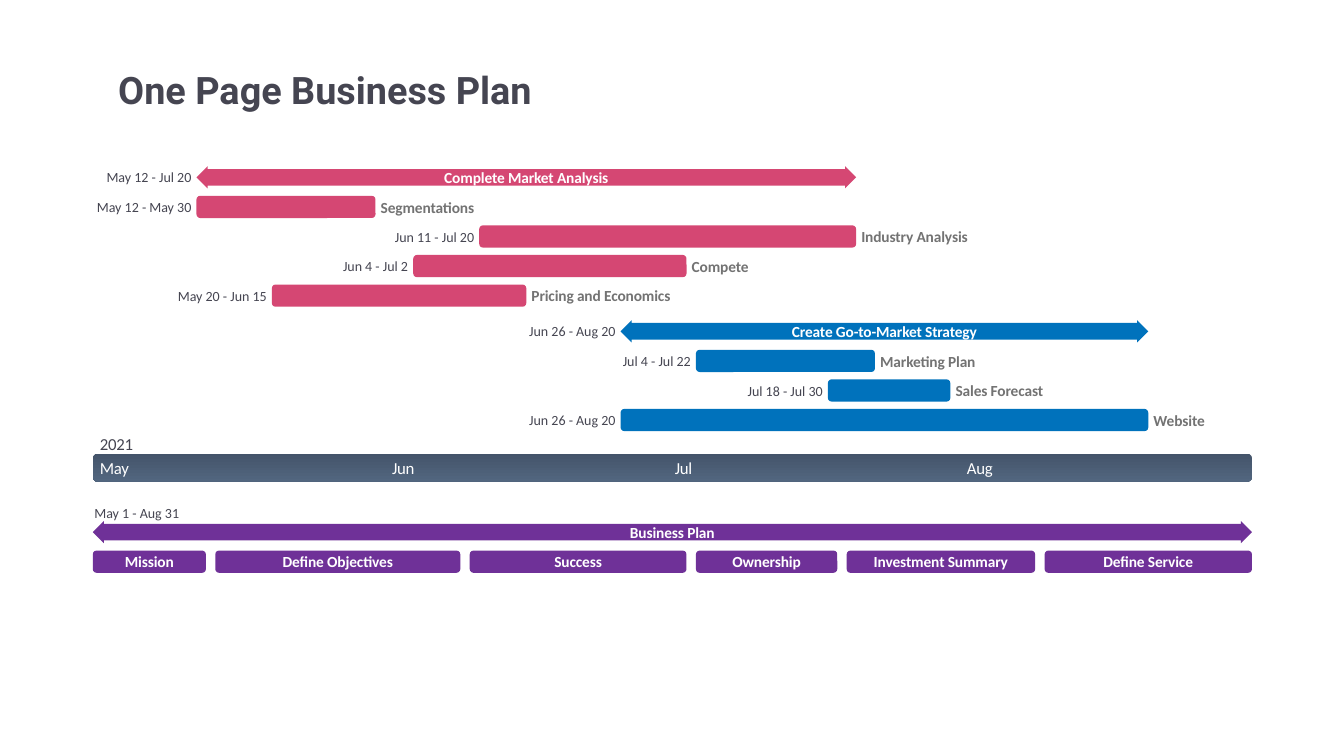
from pptx import Presentation
from pptx.dml.color import RGBColor
from pptx.enum.shapes import MSO_SHAPE
from pptx.enum.text import MSO_ANCHOR, PP_ALIGN
from pptx.util import Cm, Pt

BAR, ARROW = MSO_SHAPE.ROUNDED_RECTANGLE, MSO_SHAPE.LEFT_RIGHT_ARROW
LEFT, CENTER, RIGHT = PP_ALIGN.LEFT, PP_ALIGN.CENTER, PP_ALIGN.RIGHT
MIDDLE, BOTTOM = MSO_ANCHOR.MIDDLE, MSO_ANCHOR.BOTTOM

PINK = RGBColor(0xD5, 0x47, 0x73)
BLUE = RGBColor(0x00, 0x72, 0xBC)
PURPLE = RGBColor(0x6F, 0x31, 0x98)
SLATE_TOP = RGBColor(0x44, 0x54, 0x6A)
SLATE_BOTTOM = RGBColor(0x52, 0x66, 0x7F)
DARK = RGBColor(0x45, 0x45, 0x51)
GRAY = RGBColor(0x73, 0x73, 0x73)
WHITE = RGBColor(0xFF, 0xFF, 0xFF)

# Content
TITLE = "One Page Business Plan"
YEAR = "2021"
MONTH_DAYS = {"May": 31, "Jun": 30, "Jul": 31, "Aug": 31}

# Each swimlane: top in cm, colour, then its rows; the first row is the summary arrow
SWIMLANES = [
    (4.19, PINK, [
        ("Complete Market Analysis", "May 12 - Jul 20"),
        ("Segmentations", "May 12 - May 30"),
        ("Industry Analysis", "Jun 11 - Jul 20"),
        ("Compete", "Jun 4 - Jul 2"),
        ("Pricing and Economics", "May 20 - Jun 15"),
    ]),
    (8.07, BLUE, [
        ("Create Go-to-Market Strategy", "Jun 26 - Aug 20"),
        ("Marketing Plan", "Jul 4 - Jul 22"),
        ("Sales Forecast", "Jul 18 - Jul 30"),
        ("Website", "Jun 26 - Aug 20"),
    ]),
]
PLAN = ("Business Plan", "May 1 - Aug 31")
PHASES = [
    ("Mission", "May 1 - May 12"),
    ("Define Objectives", "May 14 - Jun 8"),
    ("Success", "Jun 10 - Jul 2"),
    ("Ownership", "Jul 4 - Jul 18"),
    ("Investment Summary", "Jul 20 - Aug 8"),
    ("Define Service", "Aug 10 - Aug 31"),
]

# Layout in cm
AXIS_LEFT, AXIS_WIDTH, AXIS_TOP, AXIS_HEIGHT = 2.34, 29.21, 11.43, 0.71
MONTH_INSET = 0.18
ROW_HEIGHT, ROW_PITCH = 0.56, 0.745
TEXT_GAP = 0.13
DATES_WIDTH, LABEL_WIDTH = 2.6, 4.2
PLAN_TOP, PLAN_DATES_TOP, PLAN_DATES_HEIGHT = 13.13, 12.7, 0.43
DAY = AXIS_WIDTH / sum(MONTH_DAYS.values())

month_offsets, days_so_far = {}, 0
for month, days in MONTH_DAYS.items():
    month_offsets[month] = days_so_far
    days_so_far += days


def day_number(date):
    month, day = date.split()
    return month_offsets[month] + int(day)


def span(dates):
    """Left edge and width of a date range, with its last day included."""
    first, last = map(day_number, dates.split(" - "))
    return AXIS_LEFT + (first - 1) * DAY, (last - first + 1) * DAY


prs = Presentation()
prs.slide_width, prs.slide_height = Cm(33.87), Cm(19.05)
slide = prs.slides.add_slide(prs.slide_layouts[6])


def write(shape, text, size, color, bold=False, align=LEFT, spacing=0,
          font="Calibri", anchor=MIDDLE):
    frame = shape.text_frame
    frame.word_wrap = True
    frame.vertical_anchor = anchor
    frame.margin_left = frame.margin_right = 0
    frame.margin_top = frame.margin_bottom = 0
    paragraph = frame.paragraphs[0]
    paragraph.alignment = align
    run = paragraph.add_run()
    run.text = text
    run._r.get_or_add_rPr().set("spc", str(spacing))
    paragraph.font.name, paragraph.font.size = font, Pt(size)
    paragraph.font.bold, paragraph.font.color.rgb = bold, color


def text_box(text, left, top, width, height, size, color, **style):
    box = slide.shapes.add_textbox(Cm(left), Cm(top), Cm(width), Cm(height))
    write(box, text, size, color, **style)


def dated_shape(kind, dates, top, color, label=None):
    left, width = span(dates)
    shape = slide.shapes.add_shape(kind, Cm(left), Cm(top), Cm(width), Cm(ROW_HEIGHT))
    shape.shadow.inherit = False
    shape.fill.solid()
    shape.fill.fore_color.rgb = color
    shape.line.fill.background()
    if kind == ARROW:
        shape.adjustments[0], shape.adjustments[1] = 0.75, 0.5
    if label:
        write(shape, label, 11, WHITE, bold=True, align=CENTER, spacing=-10)


# Title
text_box(TITLE, 2.98, 1.12, 13, 1.7, 27, DARK, bold=True, font="Roboto", anchor=BOTTOM)

# Month axis
axis = slide.shapes.add_shape(BAR, Cm(AXIS_LEFT), Cm(AXIS_TOP), Cm(AXIS_WIDTH), Cm(AXIS_HEIGHT))
axis.shadow.inherit = False
axis.line.fill.background()
axis.fill.gradient()
axis.fill.gradient_angle = 270
for stop, position, color in zip(axis.fill.gradient_stops, (0, 1), (SLATE_TOP, SLATE_BOTTOM)):
    stop.position, stop.color.rgb = position, color
for month, offset in month_offsets.items():
    text_box(month, AXIS_LEFT + MONTH_INSET + offset * DAY, AXIS_TOP, 1.2, AXIS_HEIGHT,
             12, WHITE, spacing=-20)
text_box(YEAR, AXIS_LEFT + MONTH_INSET, AXIS_TOP - 0.51, 1.2, 0.51, 12, DARK, spacing=-20)

# Swimlanes above the axis
for lane_top, color, rows in SWIMLANES:
    for index, (label, dates) in enumerate(rows):
        top = lane_top + index * ROW_PITCH
        left, width = span(dates)
        text_box(dates, left - TEXT_GAP - DATES_WIDTH, top, DATES_WIDTH, ROW_HEIGHT,
                 10, DARK, align=RIGHT)
        if index == 0:
            dated_shape(ARROW, dates, top, color, label)
        else:
            dated_shape(BAR, dates, top, color)
            text_box(label, left + width + TEXT_GAP, top, LABEL_WIDTH, ROW_HEIGHT,
                     11, GRAY, bold=True, spacing=-10)

# Plan and its phases below the axis
plan_label, plan_dates = PLAN
text_box(plan_dates, AXIS_LEFT + 0.04, PLAN_DATES_TOP, DATES_WIDTH, PLAN_DATES_HEIGHT, 10, DARK)
dated_shape(ARROW, plan_dates, PLAN_TOP, PURPLE, plan_label)
for phase, dates in PHASES:
    dated_shape(BAR, dates, PLAN_TOP + ROW_PITCH, PURPLE, phase)

prs.save("out.pptx")
